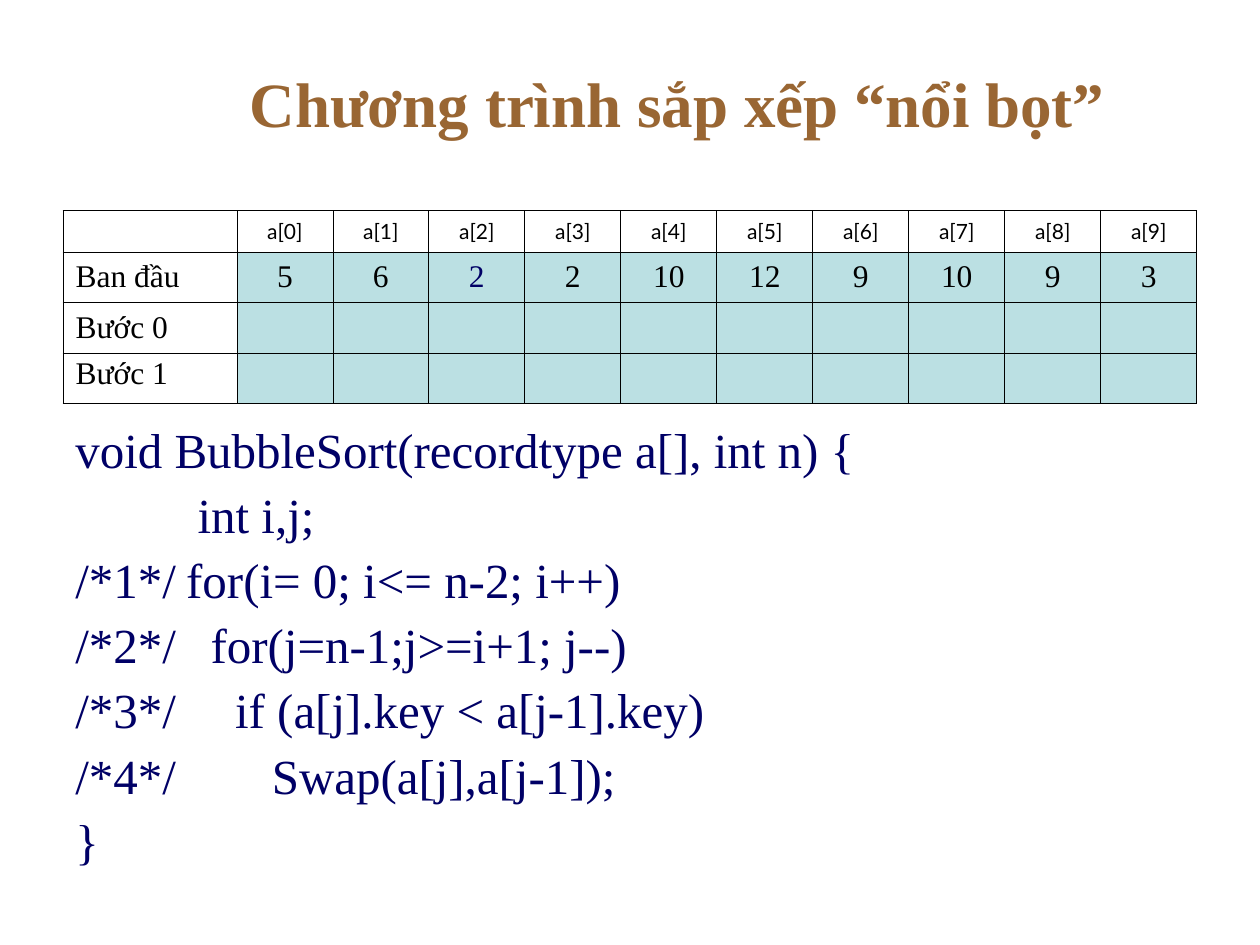
from lxml import etree
from pptx import Presentation
from pptx.dml.color import RGBColor
from pptx.enum.text import MSO_ANCHOR, PP_ALIGN
from pptx.oxml import parse_xml
from pptx.oxml.ns import nsdecls, qn
from pptx.util import Inches, Pt

LEFT, CENTER, JUSTIFY = PP_ALIGN.LEFT, PP_ALIGN.CENTER, PP_ALIGN.JUSTIFY
TOP, MIDDLE = MSO_ANCHOR.TOP, MSO_ANCHOR.MIDDLE

BROWN = RGBColor(0x99, 0x66, 0x33)
NAVY = RGBColor(0x00, 0x00, 0x66)
BLACK = RGBColor(0x00, 0x00, 0x00)
PALE_TEAL = RGBColor(0xBB, 0xE0, 0xE3)
SERIF, SANS = "Times New Roman", "Lato"


def write(tf, text, size=18, font=SERIF, color=BLACK, bold=False, align=LEFT,
          spacing=1.0, before=0, indent=0, tab=0):
    """Fill a text frame, one paragraph a line; indent is hanging, in inches."""
    for i, line in enumerate(text.split("\n")):
        p = tf.paragraphs[0] if i == 0 else tf.add_paragraph()
        p.alignment = align
        p.line_spacing = spacing
        p.space_before = Pt(before if i else 0)
        pPr = p._p.get_or_add_pPr()
        if indent:
            pPr.set("marL", str(Inches(indent)))
            pPr.set("indent", str(-Inches(indent)))
        if tab:
            tabs = etree.SubElement(pPr, qn("a:tabLst"))
            etree.SubElement(tabs, qn("a:tab"), pos=str(Inches(tab)), algn="l")
        if not line:
            etree.SubElement(p._p, qn("a:endParaRPr"), sz=str(size * 100))
            continue
        r = p.add_run()
        r.text = line
        r.font.size = Pt(size)
        r.font.name = font
        r.font.bold = bold
        r.font.color.rgb = color


def add_borders(cell):
    tcPr = cell._tc.get_or_add_tcPr()
    for i, side in enumerate(("lnL", "lnR", "lnT", "lnB")):
        tcPr.insert(i, parse_xml(
            f'<a:{side} {nsdecls("a")} w="{Pt(0.45)}"><a:solidFill>'
            f'<a:srgbClr val="{BLACK}"/></a:solidFill></a:{side}>'))


prs = Presentation()
prs.slide_width, prs.slide_height = Inches(10), Inches(7.5)
s = prs.slides.add_slide(prs.slide_layouts[6])

# Title
tf = s.shapes.add_textbox(Inches(1.25), Inches(0.3), Inches(8.25), Inches(1.03)).text_frame
tf.word_wrap = True
tf.vertical_anchor = MIDDLE
write(tf, "Chương trình sắp xếp “nổi bọt”", size=36, color=BROWN, bold=True, align=CENTER)

# Source code
CODE = """void BubbleSort(recordtype a[], int n) {
          int i,j;
/*1*/\tfor(i= 0; i<= n-2; i++)
/*2*/\t  for(j=n-1;j>=i+1; j--)
/*3*/\t    if (a[j].key < a[j-1].key)
/*4*/\t       Swap(a[j],a[j-1]);
}"""
tf = s.shapes.add_textbox(Inches(0.5), Inches(3.33), Inches(9), Inches(3.75)).text_frame
tf.word_wrap = True
tf.vertical_anchor = TOP
write(tf, CODE, size=28, color=NAVY, spacing=0.9, before=7, indent=0.38, tab=1)

# Array states
VALUES = [5, 6, 2, 2, 10, 12, 9, 10, 9, 3]
n = len(VALUES)
rows = [
    [""] + [f"a[{i}]" for i in range(n)],
    ["Ban đầu"] + [str(v) for v in VALUES],
    ["Bước 0"] + [""] * n,
    ["Bước 1"] + [""] * n,
]
LABEL_W, TABLE_W = 1.38, 9
HEADER_H, ROW_H = 0.33, 0.4
table = s.shapes.add_table(len(rows), n + 1, Inches(0.5), Inches(1.67), Inches(TABLE_W),
                           Inches(HEADER_H + 3 * ROW_H)).table
table.first_row = table.horz_banding = False
for i, col in enumerate(table.columns):
    col.width = Inches(LABEL_W if i == 0 else (TABLE_W - LABEL_W) / n)

for i, row in enumerate(rows):
    table.rows[i].height = Inches(HEADER_H if i == 0 else ROW_H)
    for j, text in enumerate(row):
        cell = table.cell(i, j)
        cell.vertical_anchor = MIDDLE
        if i and j:
            cell.fill.solid()
            cell.fill.fore_color.rgb = PALE_TEAL
        else:
            cell.fill.background()
        add_borders(cell)
        write(cell.text_frame, text,
              size=18 if i else 12,
              font=SERIF if i else SANS,
              color=NAVY if (i, j) == (1, 3) else BLACK,
              align=CENTER if j else JUSTIFY,
              spacing=0.6 if text == "Bước 1" else 1.0)

prs.save("out.pptx")
